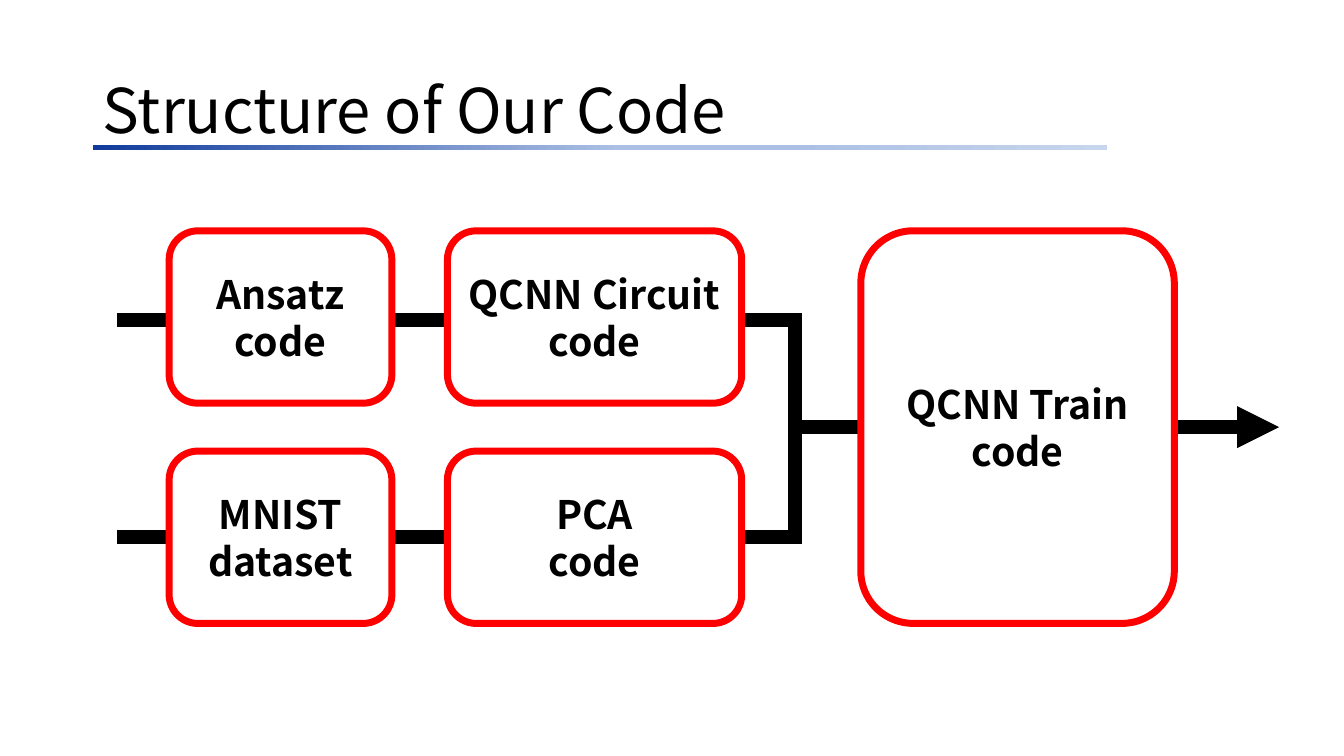
from lxml.etree import SubElement
from pptx import Presentation
from pptx.dml.color import RGBColor
from pptx.enum.shapes import MSO_CONNECTOR, MSO_SHAPE
from pptx.enum.text import MSO_ANCHOR, PP_ALIGN
from pptx.oxml.ns import qn
from pptx.util import Pt

FONT = "Noto Sans CJK KR"
BLACK, WHITE, RED = "000000", "FFFFFF", "FF0000"
UNDERLINE_STOPS = [(0, "103B9C"), (52, "ABC0E4"), (69, "ABC0E4"), (100, "C7D5ED")]
FLOW_WEIGHT = 10


def color(hex_code):
    """Turn a hex string into a colour."""
    return RGBColor.from_string(hex_code)


def add_block(slide, kind, box, fill=None, line=None, weight=0):
    """Add a preset shape without shadow; box is left, top, width, height."""
    block = slide.shapes.add_shape(kind, *map(Pt, box))
    block.shadow.inherit = False
    if fill:
        block.fill.solid()
        block.fill.fore_color.rgb = color(fill)
    else:
        block.fill.background()
    if line:
        block.line.color.rgb = color(line)
        block.line.width = Pt(weight)
    else:
        block.line.fill.background()
    return block


def write_line(paragraph, text, size, align, bold=False):
    """Write one run of text into a paragraph."""
    paragraph.alignment = align
    run = paragraph.add_run()
    run.text = text
    run.font.name = FONT
    run.font.size = Pt(size)
    run.font.bold = bold
    run.font.color.rgb = color(BLACK)


def add_underline(slide, box):
    """Draw the gradient bar below the title."""
    underline = add_block(slide, MSO_SHAPE.RECTANGLE, box)
    underline.fill.gradient()
    underline.fill.gradient_angle = 0
    stops = underline.fill._fill._gradFill.find(qn("a:gsLst"))
    for stop in list(stops):
        stops.remove(stop)
    for percent, hex_code in UNDERLINE_STOPS:
        stop = SubElement(stops, qn("a:gs"), pos=str(percent * 1000))
        SubElement(stop, qn("a:srgbClr"), val=hex_code)


def add_heading(slide, box):
    """Place the title and its underline in the box."""
    left, top, width, height = box
    add_underline(slide, (left, top + 74.9, 724.3, 3.6))
    title = slide.shapes.title
    title.left, title.top, title.width, title.height = map(Pt, box)
    frame = title.text_frame
    frame.word_wrap = True
    frame.vertical_anchor = MSO_ANCHOR.MIDDLE
    paragraph = frame.paragraphs[0]
    paragraph.line_spacing = 0.9
    write_line(paragraph, "Structure of Our Code", 44, PP_ALIGN.LEFT)


def add_output_arrow(slide, start, end, middle):
    """Draw the horizontal arrow that leaves the training step."""
    arrow = slide.shapes.add_connector(
        MSO_CONNECTOR.STRAIGHT, Pt(start), Pt(middle), Pt(end), Pt(middle))
    arrow.line.color.rgb = color(BLACK)
    arrow.line.width = Pt(FLOW_WEIGHT)
    SubElement(arrow.line._get_or_add_ln(), qn("a:tailEnd"), type="triangle")
    SubElement(arrow._element.spPr, qn("a:effectLst"))


def add_flow_lines(slide, box):
    """Draw the merging flow, open on the left, and the output arrow."""
    left, top, width, height = box
    merge_x = left + 493.6
    loop = add_block(slide, MSO_SHAPE.RECTANGLE,
                     (left, top + 63.4, merge_x - left, 155.5),
                     line=BLACK, weight=FLOW_WEIGHT)
    SubElement(loop.line._get_or_add_ln(), qn("a:miter"), lim="800000")
    add_block(slide, MSO_SHAPE.RECTANGLE, (left - 49, top + 32.4, 58.3, 217.4), fill=WHITE)
    add_output_arrow(slide, merge_x, left + width, top + height / 2)


def add_step(slide, box, lines):
    """Draw one rounded step with its centred label."""
    step = add_block(slide, MSO_SHAPE.ROUNDED_RECTANGLE, box, WHITE, RED, 5)
    frame = step.text_frame
    frame.word_wrap = True
    frame.vertical_anchor = MSO_ANCHOR.MIDDLE
    for index, text in enumerate(lines):
        paragraph = frame.add_paragraph() if index else frame.paragraphs[0]
        write_line(paragraph, text, 28, PP_ALIGN.CENTER, bold=True)


def add_pipeline(slide, box):
    """Lay out the two input rows and the training step."""
    left, top, width, height = box
    add_flow_lines(slide, box)
    columns = [(left + 46.6, 159.1), (left + 245.4, 210.2)]
    rows = [
        [("Ansatz", "code"), ("QCNN Circuit", "code")],
        [("MNIST", "dataset"), ("PCA", "code")],
    ]
    step_height = 123.1
    pitch = height - step_height
    for row, labels in enumerate(rows):
        for (step_left, step_width), lines in zip(columns, labels):
            add_step(slide, (step_left, top + row * pitch, step_width, step_height), lines)
    add_step(slide, (left + 540.7, top, 223.9, height), ("QCNN Train", "code"))


def main():
    """Build and save the slide."""
    deck = Presentation()
    deck.slide_width, deck.slide_height = Pt(960), Pt(540)
    slide = deck.slides.add_slide(deck.slide_layouts[5])
    add_heading(slide, (66.2, 28.8, 828, 104.4))
    add_pipeline(slide, (74.2, 164.9, 839.5, 280.4))
    deck.save("out.pptx")


if __name__ == "__main__":
    main()
